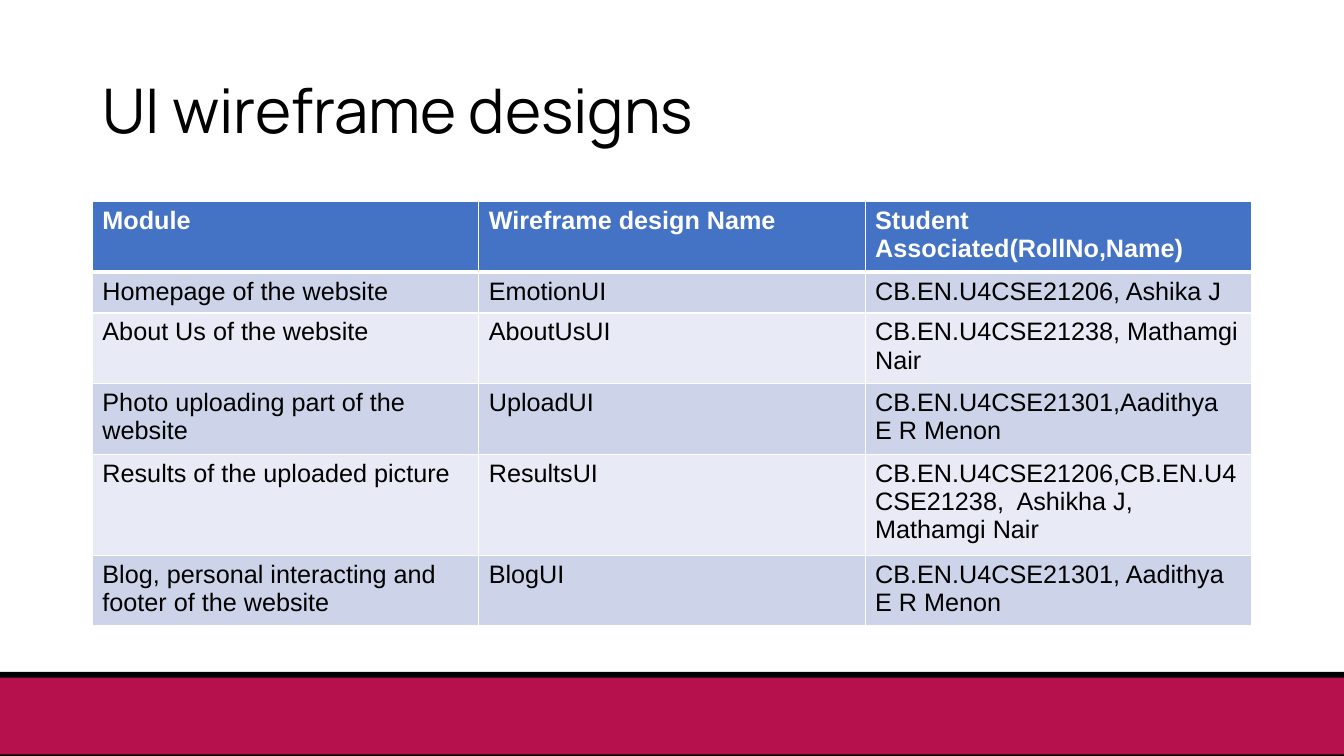
import pptx
import pptx.dml.color
import pptx.enum.shapes
import pptx.enum.text
import pptx.oxml
import pptx.oxml.ns
import pptx.util

Pt = pptx.util.Pt
ROWS = [
    ("Module", "Wireframe design Name", "Student Associated(RollNo,Name)"),
    ("Homepage of the website", "EmotionUI", "CB.EN.U4CSE21206, Ashika J"),
    ("About Us of the website", "AboutUsUI", "CB.EN.U4CSE21238, Mathamgi Nair"),
    ("Photo uploading part of the website", "UploadUI", "CB.EN.U4CSE21301,Aadithya E R Menon"),
    ("Results of the uploaded picture", "ResultsUI",
     "CB.EN.U4CSE21206,CB.EN.U4CSE21238,  Ashikha J, Mathamgi Nair"),
    ("Blog, personal interacting and footer of the website", "BlogUI",
     "CB.EN.U4CSE21301, Aadithya E R Menon"),
]


def color(value):
    """Return the RGB colour for a hex string."""
    return pptx.dml.color.RGBColor.from_string(value)


def set_font(p, name, size, value, bold=False):
    """Set the font of a whole paragraph."""
    p.font.name = name
    p.font.size = Pt(size)
    p.font.bold = bold
    p.font.color.rgb = color(value)


def add_bar(slide, left, top, width, height, fill):
    """Add a plain filled rectangle."""
    sp = slide.shapes.add_shape(pptx.enum.shapes.MSO_SHAPE.RECTANGLE,
                                Pt(left), Pt(top), Pt(width), Pt(height))
    sp.shadow.inherit = False
    sp.fill.solid()
    sp.fill.fore_color.rgb = color(fill)
    sp.line.fill.background()


def add_footer(slide, left, top, width, height):
    """Add the crimson footer band on its black edge."""
    add_bar(slide, left, top, width, height, "000000")
    add_bar(slide, left, top + 4, width, height - 5, "B6114D")


def add_title(slide, left, top, width, height, text):
    """Add the slide title, centred vertically in its box."""
    tf = slide.shapes.add_textbox(Pt(left), Pt(top), Pt(width), Pt(height)).text_frame
    tf.word_wrap = True
    tf.vertical_anchor = pptx.enum.text.MSO_ANCHOR.MIDDLE
    p = tf.paragraphs[0]
    p.text = text
    p.line_spacing = 0.9
    set_font(p, "Manrope", 44, "000000")


def set_borders(cell, bottom):
    """Draw white cell borders with the given bottom width."""
    tc_pr = cell._tc.get_or_add_tcPr()
    for i, (side, width) in enumerate((("L", 1), ("R", 1), ("T", 1), ("B", bottom))):
        tc_pr.insert(i, pptx.oxml.parse_xml(
            f'<a:ln{side} {pptx.oxml.ns.nsdecls("a")} w="{Pt(width)}"><a:solidFill>'
            f'<a:srgbClr val="FFFFFF"/></a:solidFill></a:ln{side}>'))


def add_module_table(slide, left, top, width, row_height, rows):
    """Add the banded table of modules, wireframes and students."""
    table = slide.shapes.add_table(len(rows), len(rows[0]), Pt(left), Pt(top),
                                   Pt(width), Pt(row_height * len(rows))).table
    for r, texts in enumerate(rows):
        header = r == 0
        fill = "4472C4" if header else ("E8EBF5", "CDD4EA")[r % 2]
        for c, text in enumerate(texts):
            cell = table.cell(r, c)
            cell.fill.solid()
            cell.fill.fore_color.rgb = color(fill)
            set_borders(cell, 3 if header else 1)
            p = cell.text_frame.paragraphs[0]
            p.text = text
            set_font(p, "Arial", 18, "FFFFFF" if header else "000000", header)


def main():
    """Build and save the slide."""
    prs = pptx.Presentation()
    prs.slide_width, prs.slide_height = Pt(960), Pt(540)
    slide = prs.slides.add_slide(prs.slide_layouts[6])
    add_footer(slide, 0, 480, 960, 60)
    add_title(slide, 66, 28.75, 828, 104.4, "UI wireframe designs")
    add_module_table(slide, 66, 144, 828, 29.2, ROWS)
    prs.save("out.pptx")


if __name__ == "__main__":
    main()
